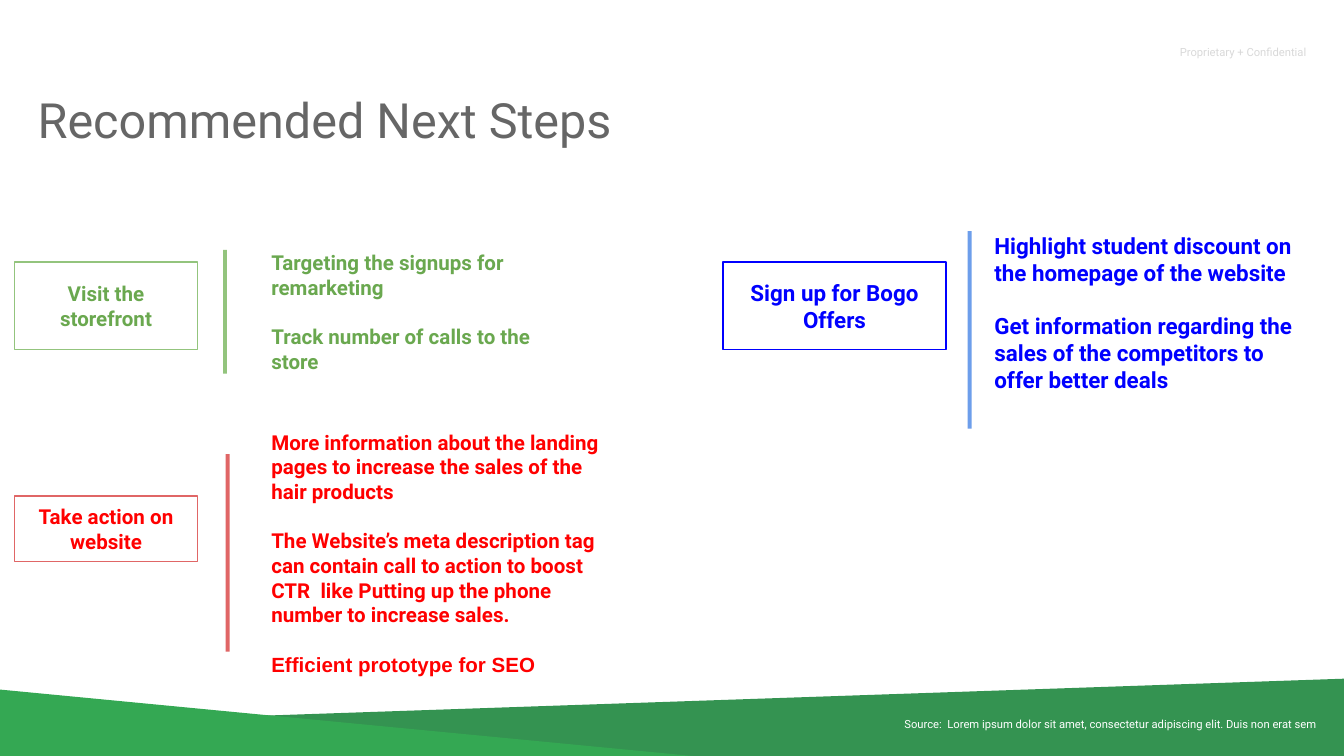
"""Build the recommended next steps slide."""
import dataclasses
import typing

import pptx
import pptx.dml.color
import pptx.enum.shapes
import pptx.enum.text
import pptx.util

Inches = pptx.util.Inches
Align = pptx.enum.text.PP_ALIGN
Anchor = pptx.enum.text.MSO_ANCHOR
RECTANGLE = pptx.enum.shapes.MSO_SHAPE.RECTANGLE


@dataclasses.dataclass(frozen=True)
class Theme:
    font: str = "Roboto"
    second_font: str = "Arial"
    dark_band: str = "349351"
    light_band: str = "34A853"
    title: str = "666666"
    notice: str = "D9D9D9"
    source: str = "FFFFFF"
    green: str = "6AA84F"
    soft_green: str = "93C47D"
    red: str = "FF0000"
    soft_red: str = "E06666"
    blue: str = "0000FF"
    soft_blue: str = "6D9EEB"
    title_size: int = 26
    small_size: int = 6
    step_size: int = 11
    offer_size: int = 12


class Area(typing.NamedTuple):
    left: float
    top: float
    width: float
    height: float

    def lengths(self) -> list:
        return [Inches(value) for value in self]


THEME = Theme()
BAR_WIDTH = 0.03
INSET = 0.1


@dataclasses.dataclass(frozen=True)
class Step:
    label: str
    actions: tuple[str, ...]
    label_area: Area
    bar_area: Area
    action_area: Area
    color: str
    outline: str
    bar: str
    size: int
    last_font: str = THEME.font
    bottom_inset: float = INSET


STEPS = (
    Step("Visit the storefront",
         ("Targeting the signups for remarketing", "Track number of calls to the store"),
         Area(0.11, 1.95, 1.36, 0.65), Area(1.66, 1.86, BAR_WIDTH, 0.92),
         Area(1.92, 1.86, 2.51, 0.92),
         THEME.green, THEME.soft_green, THEME.soft_green, THEME.step_size),
    Step("Take action on website",
         ("More information about the landing pages to increase the sales of the hair products",
          "The Website’s meta description tag can contain call to action to boost CTR  like "
          "Putting up the phone number to increase sales.",
          "Efficient prototype for SEO"),
         Area(0.11, 3.69, 1.36, 0.49), Area(1.68, 3.38, BAR_WIDTH, 1.47),
         Area(1.92, 3.38, 2.72, 1.65),
         THEME.red, THEME.soft_red, THEME.soft_red, THEME.step_size,
         THEME.second_font, 0.28),
    Step("Sign up for Bogo Offers",
         ("Highlight student discount on the homepage of the website",
          "Get information regarding the sales of the competitors to offer better deals"),
         Area(5.38, 1.95, 1.66, 0.65), Area(7.2, 1.72, BAR_WIDTH, 1.47),
         Area(7.3, 1.41, 2.51, 1.83),
         THEME.blue, THEME.blue, THEME.soft_blue, THEME.offer_size),
)


def rgb(color: str) -> pptx.dml.color.RGBColor:
    return pptx.dml.color.RGBColor.from_string(color)


def write(box, *texts: str, size: int, color: str, bold: bool = False,
          align=Align.LEFT, anchor=Anchor.TOP, gap: float = 0,
          last_font: str = THEME.font, bottom_inset: float = INSET) -> None:
    frame = box.text_frame
    frame.word_wrap = True
    frame.auto_size = pptx.enum.text.MSO_AUTO_SIZE.NONE
    frame.vertical_anchor = anchor
    frame.margin_left = frame.margin_right = frame.margin_top = Inches(INSET)
    frame.margin_bottom = Inches(bottom_inset)
    for index, text in enumerate(texts):
        para = frame.add_paragraph() if index else frame.paragraphs[0]
        para.alignment = align
        para.space_before = pptx.util.Pt(gap if index else 0)
        span = para.add_run()
        span.text = text
        span.font.name = last_font if index == len(texts) - 1 else THEME.font
        span.font.size = pptx.util.Pt(size)
        span.font.bold = bold
        span.font.color.rgb = rgb(color)


def add_text(page, area: Area, *texts: str, **style) -> None:
    write(page.shapes.add_textbox(*area.lengths()), *texts, **style)


def paint(shape, color: str) -> None:
    shape.shadow.inherit = False
    shape.fill.solid()
    shape.fill.fore_color.rgb = rgb(color)
    shape.line.fill.background()


def add_band(page, points: list[tuple[float, float]], color: str) -> None:
    start, *rest = [(Inches(x), Inches(y)) for x, y in points]
    builder = page.shapes.build_freeform(*start)
    builder.add_line_segments(rest, close=True)
    paint(builder.convert_to_shape(), color)


def add_step(page, step: Step) -> None:
    label = page.shapes.add_shape(RECTANGLE, *step.label_area.lengths())
    label.shadow.inherit = False
    label.fill.background()
    label.line.color.rgb = rgb(step.outline)
    label.line.width = pptx.util.Pt(0.75)
    write(label, step.label, size=step.size, color=step.color, bold=True,
          align=Align.CENTER, anchor=Anchor.MIDDLE)
    paint(page.shapes.add_shape(RECTANGLE, *step.bar_area.lengths()), step.bar)
    add_text(page, step.action_area, *step.actions, size=step.size, color=step.color,
             bold=True, anchor=Anchor.MIDDLE, gap=1.2 * step.size,
             last_font=step.last_font, bottom_inset=step.bottom_inset)


def main() -> None:
    deck = pptx.Presentation()
    deck.slide_width = Inches(10)
    deck.slide_height = deck.slide_width * 9 // 16
    page = deck.slides.add_slide(deck.slide_layouts.get_by_name("Title Only"))
    add_band(page, [(10.03, 5.65), (10.01, 5.05), (0.08, 5.39), (0.09, 5.62)],
             THEME.dark_band)
    add_band(page, [(5.2, 5.63), (-0.01, 5.13), (-0.01, 5.64)], THEME.light_band)
    add_text(page, Area(8.68, 0.24, 1.32, 0.33), "Proprietary + Confidential",
             size=THEME.small_size, color=THEME.notice)
    add_text(page, Area(5.14, 5.24, 4.75, 0.41),
             "Source:  Lorem ipsum dolor sit amet, consectetur adipiscing elit. "
             "Duis non erat sem",
             size=THEME.small_size, color=THEME.source, align=Align.RIGHT)
    title = page.shapes.title
    title.left, title.top, title.width, title.height = Area(0.18, 0.57, 7.23, 0.83).lengths()
    write(title, "Recommended Next Steps", size=THEME.title_size, color=THEME.title)
    for step in STEPS:
        add_step(page, step)
    deck.save("out.pptx")


if __name__ == "__main__":
    main()
